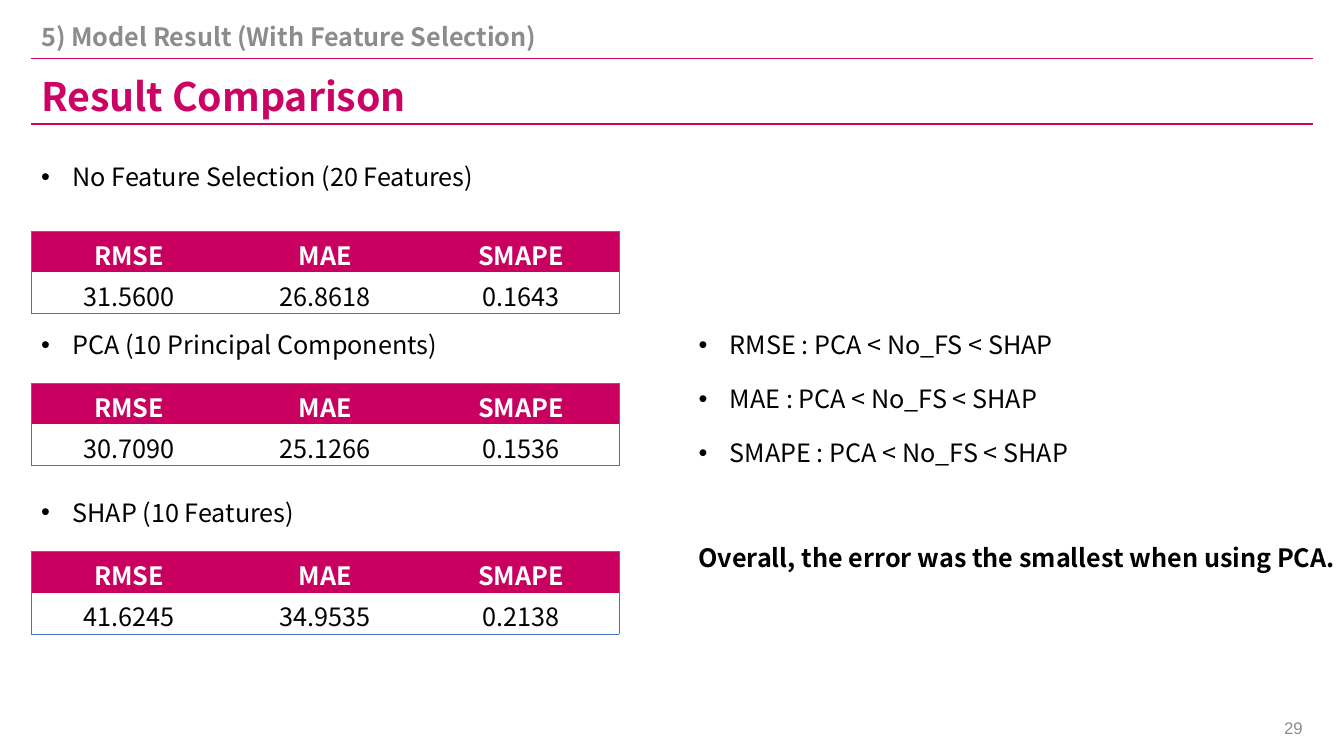
from lxml.etree import SubElement
from pptx import Presentation
from pptx.dml.color import RGBColor
from pptx.enum.shapes import MSO_CONNECTOR
from pptx.enum.text import MSO_ANCHOR, PP_ALIGN
from pptx.oxml.ns import qn
from pptx.util import Inches, Pt

# Content
SECTION = "5) Model Result (With Feature Selection)"
TITLE = "Result Comparison"
PAGE_NUMBER = "29"
METRICS = ("RMSE", "MAE", "SMAPE")
# label, label top, table top, values
RESULTS = [
    ("No Feature Selection (20 Features)", 1.55, 2.29, ("31.5600", "26.8618", "0.1643")),
    ("PCA (10 Principal Components)", 3.22, 3.8, ("30.7090", "25.1266", "0.1536")),
    ("SHAP (10 Features)", 4.88, 5.47, ("41.6245", "34.9535", "0.2138")),
]
RANKINGS = [f"{metric} : PCA < No_FS < SHAP" for metric in METRICS]
CONCLUSION = "Overall, the error was the smallest when using PCA."

# Style
COLORS = {"title": "CA0364", "header": "C90060", "border": "4472C4",
          "muted": "8C8C8C", "text": "000000", "white": "FFFFFF"}
FONT = "Noto Sans CJK KR"
LEFT, FULL_WIDTH, TABLE_WIDTH = 0.31, 12.71, 5.83
RIGHT_COLUMN = 6.83
ROW_HEIGHT = 0.41
BULLET_INDENT = 0.31


def color(name):
    return RGBColor.from_string(COLORS[name])


def write_text(frame, lines, size=18, ink="text", bold=False, font=FONT,
               align=PP_ALIGN.LEFT, bullet=False, gap=0):
    for index, line in enumerate(lines):
        paragraph = frame.add_paragraph() if index else frame.paragraphs[0]
        paragraph.alignment = align
        if index:
            paragraph.space_before = Pt(gap)
        run = paragraph.add_run()
        run.text = line
        run.font.size, run.font.bold, run.font.name = Pt(size), bold, font
        run.font.color.rgb = color(ink)
        properties = run._r.get_or_add_rPr()
        SubElement(properties, qn("a:ea")).set("typeface", font)
        if bullet:
            properties = paragraph._p.get_or_add_pPr()
            properties.set("marL", str(Inches(BULLET_INDENT)))
            properties.set("indent", str(-Inches(BULLET_INDENT)))
            SubElement(properties, qn("a:buFont")).set("typeface", "Arial")
            SubElement(properties, qn("a:buChar")).set("char", "•")


def add_text(slide, lines, left, top, width, height, anchor=MSO_ANCHOR.TOP, **style):
    box = slide.shapes.add_textbox(Inches(left), Inches(top), Inches(width), Inches(height))
    box.text_frame.word_wrap = True
    box.text_frame.vertical_anchor = anchor
    write_text(box.text_frame, lines, **style)


def add_rule(slide, top):
    rule = slide.shapes.add_connector(MSO_CONNECTOR.STRAIGHT, Inches(LEFT), Inches(top),
                                      Inches(LEFT + FULL_WIDTH), Inches(top))
    rule.line.color.rgb = color("title")
    rule.line.width = Pt(1)
    SubElement(rule._element.spPr, qn("a:effectLst"))


def set_borders(cell, visible):
    properties = cell._tc.get_or_add_tcPr()
    for position, side in enumerate("LRTB"):
        line = SubElement(properties, qn(f"a:ln{side}"))
        properties.insert(position, line)
        if side in visible:
            line.set("w", str(Pt(0.5)))
            fill = SubElement(line, qn("a:solidFill"))
            SubElement(fill, qn("a:srgbClr")).set("val", COLORS["border"])
        else:
            SubElement(line, qn("a:noFill"))


def add_result_table(slide, top, values):
    rows = (METRICS, values)
    table = slide.shapes.add_table(len(rows), len(METRICS), Inches(LEFT), Inches(top),
                                   Inches(TABLE_WIDTH), Inches(ROW_HEIGHT * len(rows))).table
    table.horz_banding = False
    for row_index, row in enumerate(rows):
        header = row_index == 0
        table.rows[row_index].height = Inches(ROW_HEIGHT)
        for column_index, value in enumerate(row):
            cell = table.cell(row_index, column_index)
            if header:
                cell.fill.solid()
                cell.fill.fore_color.rgb = color("header")
            else:
                cell.fill.background()
            # Only the outer frame is drawn
            visible = "T" if header else "B"
            if column_index == 0:
                visible += "L"
            if column_index == len(METRICS) - 1:
                visible += "R"
            set_borders(cell, visible)
            write_text(cell.text_frame, [value], bold=header, align=PP_ALIGN.CENTER,
                       ink="white" if header else "text")


def main():
    presentation = Presentation()
    presentation.slide_width, presentation.slide_height = Inches(13.33), Inches(7.5)
    slide = presentation.slides.add_slide(presentation.slide_layouts[6])

    # Heading and page number
    for top in (0.58, 1.23):
        add_rule(slide, top)
    add_text(slide, [SECTION], LEFT, 0.15, FULL_WIDTH, 0.43, MSO_ANCHOR.MIDDLE,
             ink="muted", bold=True)
    add_text(slide, [TITLE], LEFT, 0.68, FULL_WIDTH, 0.55, MSO_ANCHOR.MIDDLE,
             size=28, ink="title", bold=True)
    add_text(slide, [PAGE_NUMBER], 10.02, 7.02, 3, 0.4, MSO_ANCHOR.MIDDLE,
             size=12, ink="muted", font="Arial", align=PP_ALIGN.RIGHT)

    # Results of each method
    for label, label_top, table_top, values in RESULTS:
        add_text(slide, [label], LEFT, label_top, TABLE_WIDTH, 0.4, bullet=True)
        add_result_table(slide, table_top, values)

    # Ranking and conclusion
    add_text(slide, RANKINGS, RIGHT_COLUMN, 3.22, 5.14, 1.62, bullet=True, gap=17)
    add_text(slide, [CONCLUSION], RIGHT_COLUMN, 5.33, 6.7, 0.4, bold=True)

    presentation.save("out.pptx")


if __name__ == "__main__":
    main()
